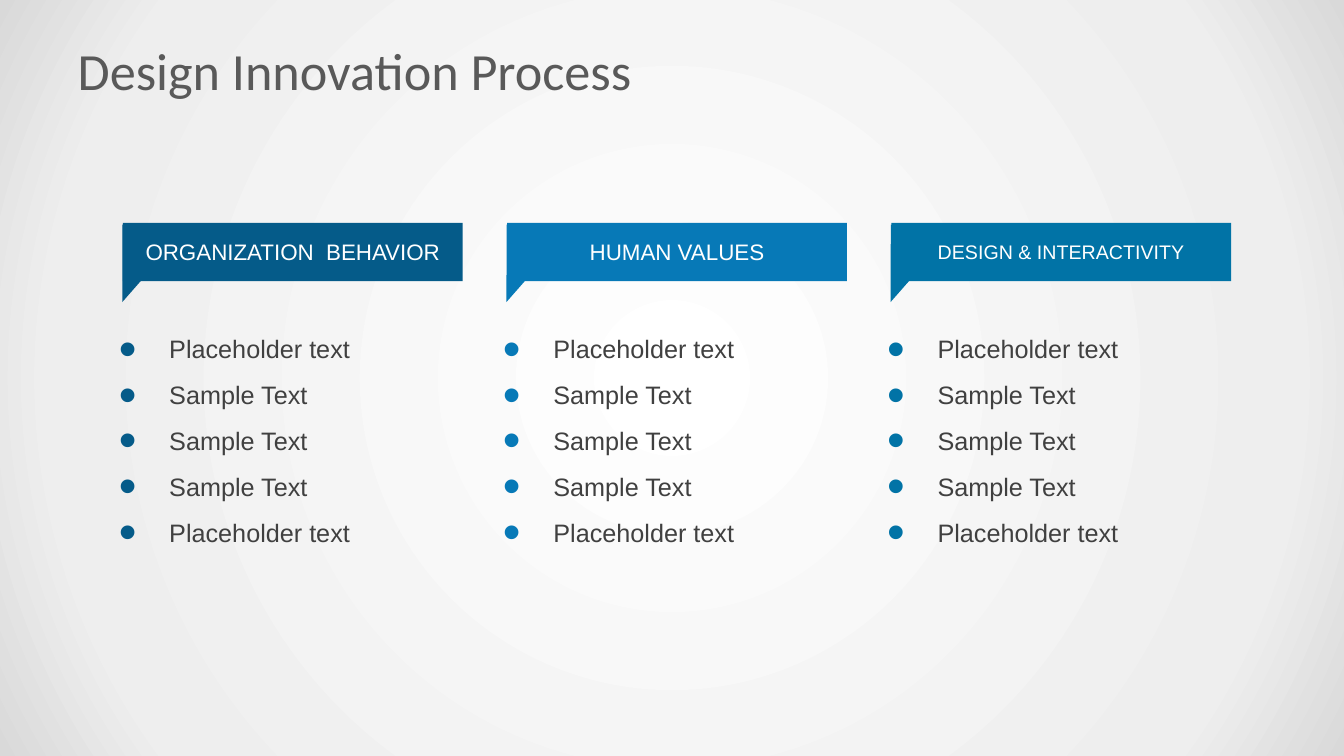
from lxml import etree
from pptx import Presentation
from pptx.dml.color import RGBColor
from pptx.enum.shapes import MSO_SHAPE as SHAPE
from pptx.enum.text import MSO_ANCHOR as ANCHOR, MSO_AUTO_SIZE as AUTO_SIZE, PP_ALIGN as ALIGN
from pptx.oxml import parse_xml
from pptx.oxml.ns import nsdecls, qn
from pptx.util import Inches, Pt

TITLE_COLOR, BODY_COLOR, WHITE = "595959", "404040", "FFFFFF"
BACKGROUND_STOPS = [(0, "FFFFFF"), (81, "EEEEEE"), (100, "D9D9D9")]
ITEMS = ["Placeholder text", "Sample Text", "Sample Text", "Sample Text", "Placeholder text"]
COLUMNS = [
    ("ORGANIZATION  BEHAVIOR", 16, "055B89"),
    ("HUMAN VALUES", 16, "0779B7"),
    ("DESIGN & INTERACTIVITY", 14, "0173A6"),
]
COLUMN_LEFT, COLUMN_TOP, COLUMN_PITCH, COLUMN_WIDTH = 1.08, 2.21, 3.81, 3.72


def rgb(color):
    return RGBColor.from_string(color)


def add_run(paragraph, text, font_name, size, color):
    run = paragraph.add_run()
    run.text = text
    run.font.name = font_name
    run.font.size = Pt(size)
    run.font.color.rgb = rgb(color)


def set_background(slide):
    """Fill the slide with a gradient that spreads in circles from its centre."""
    slide.background.fill.gradient()
    linear = slide.element.find(".//" + qn("a:gradFill"))
    stops = "".join(
        f'<a:gs pos="{position * 1000}"><a:srgbClr val="{color}"/></a:gs>'
        for position, color in BACKGROUND_STOPS
    )
    circular = parse_xml(
        f'<a:gradFill {nsdecls("a")} rotWithShape="1"><a:gsLst>{stops}</a:gsLst>'
        '<a:path path="circle"><a:fillToRect l="50000" t="50000" r="50000" b="50000"/>'
        "</a:path></a:gradFill>"
    )
    linear.getparent().replace(linear, circular)


def add_title(slide, left, top, width, height):
    title = slide.shapes.title
    title.left, title.top = Inches(left), Inches(top)
    title.width, title.height = Inches(width), Inches(height)
    frame = title.text_frame
    frame.auto_size = AUTO_SIZE.NONE
    frame.vertical_anchor = ANCHOR.MIDDLE
    paragraph = frame.paragraphs[0]
    paragraph.alignment = ALIGN.LEFT
    add_run(paragraph, "Design Innovation Process", "Calibri", 37.3, TITLE_COLOR)


def add_plain_shape(shapes, kind, left, top, width, height, color):
    shape = shapes.add_shape(kind, Inches(left), Inches(top), Inches(width), Inches(height))
    shape.shadow.inherit = False
    shape.fill.solid()
    shape.fill.fore_color.rgb = rgb(color)
    shape.line.fill.background()
    return shape


def add_banner(slide, left, top, width, height, heading, size, color):
    """Place a heading bar with a pointed tail below its left corner."""
    shapes = slide.shapes.add_group_shape().shapes
    tail = add_plain_shape(shapes, SHAPE.ISOSCELES_TRIANGLE,
                           left - 0.15, top + 0.09, 0.54, 0.72, color)
    tail.rotation = 200.7
    bar = add_plain_shape(shapes, SHAPE.RECTANGLE, left, top, width, height, color)
    frame = bar.text_frame
    frame.word_wrap = True
    frame.vertical_anchor = ANCHOR.MIDDLE
    paragraph = frame.paragraphs[0]
    paragraph.alignment = ALIGN.CENTER
    add_run(paragraph, heading, "Arial", size, WHITE)


def add_bullet(paragraph, color):
    properties = paragraph._p.get_or_add_pPr()
    properties.set("marL", str(Inches(0.5)))
    properties.set("indent", str(-Inches(0.5)))
    bullet_color = etree.SubElement(properties, qn("a:buClr"))
    etree.SubElement(bullet_color, qn("a:srgbClr"), val=color)
    etree.SubElement(properties, qn("a:buSzPct"), val="200000")
    etree.SubElement(properties, qn("a:buFont"), typeface="Arial")
    etree.SubElement(properties, qn("a:buChar"), char="•")


def add_list(slide, left, top, width, height, items, color):
    box = slide.shapes.add_textbox(Inches(left), Inches(top), Inches(width), Inches(height))
    frame = box.text_frame
    frame.word_wrap = True
    for index, item in enumerate(items):
        paragraph = frame.add_paragraph() if index else frame.paragraphs[0]
        add_bullet(paragraph, color)
        paragraph.line_spacing = 1.3
        paragraph.space_before = Pt(4.7 if index else 0)
        add_run(paragraph, item, "Arial", 18, BODY_COLOR)


def add_column(slide, left, top, width, heading, size, color):
    add_list(slide, left, top + 0.96, width, 2.67, ITEMS, color)
    add_banner(slide, left + 0.14, top, width - 0.35, 0.58, heading, size, color)


def main():
    presentation = Presentation()
    presentation.slide_width, presentation.slide_height = Inches(13.33), Inches(7.5)
    slide = presentation.slides.add_slide(presentation.slide_layouts[5])
    set_background(slide)
    add_title(slide, 0.67, 0.3, 12, 0.78)
    for index, (heading, size, color) in enumerate(COLUMNS):
        left = COLUMN_LEFT + index * COLUMN_PITCH
        add_column(slide, left, COLUMN_TOP, COLUMN_WIDTH, heading, size, color)
    presentation.save("out.pptx")


if __name__ == "__main__":
    main()
